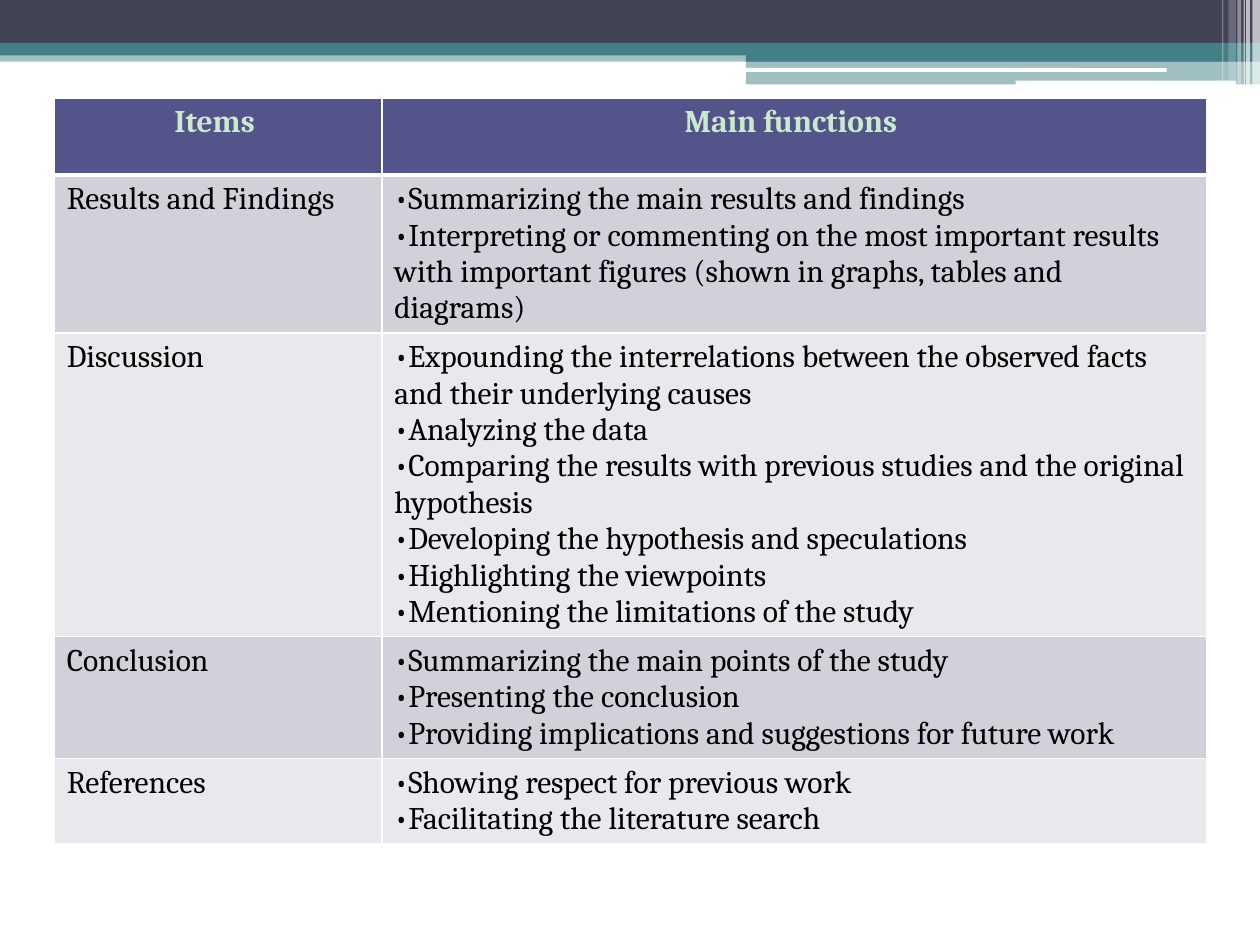
from lxml import etree
from pptx import Presentation
from pptx import util as u
from pptx.dml.color import RGBColor
from pptx.enum import shapes, text
from pptx.oxml import ns

WHITE = RGBColor(0xFF, 0xFF, 0xFF)
BLACK = RGBColor(0, 0, 0)
SLATE = RGBColor(0x42, 0x44, 0x56)
TEAL = RGBColor(0x43, 0x80, 0x86)
MINT = RGBColor(0xCA, 0xEA, 0xCE)
INDIGO = RGBColor(0x53, 0x54, 0x8A)
BAND_DARK = RGBColor(0xD1, 0xD1, 0xDA)
BAND_LIGHT = RGBColor(0xE9, 0xE9, 0xED)

HEADERS = ["Items ", "Main functions "]
SECTIONS = [
    ("Results and Findings", [
        "Summarizing the main results and findings",
        "Interpreting or commenting on the most important results with "
        "important figures (shown in graphs, tables and diagrams)",
    ]),
    ("Discussion", [
        "Expounding the interrelations between the observed facts and their underlying causes",
        "Analyzing the data",
        "Comparing the results with previous studies and the original hypothesis",
        "Developing the hypothesis and speculations",
        "Highlighting the viewpoints",
        "Mentioning the limitations of the study",
    ]),
    ("Conclusion", [
        "Summarizing the main points of the study",
        "Presenting the conclusion",
        "Providing implications and suggestions for future work",
    ]),
    ("References", [
        "Showing respect for previous work",
        "Facilitating the literature search",
    ]),
]

# left, top, width, height, colour, opacity in percent
HEADER_BANDS = [
    (0, 0.4, 10, 0.09, TEAL, 50),
    (0, 0, 10, 0.34, SLATE, 100),
    (0, 0.34, 10, 0.1, TEAL, 100),
    (5.92, 0.39, 4.08, 0.1, TEAL, 100),
    (5.92, 0.48, 4.08, 0.19, TEAL, 50),
]
WHITE_BARS = [(5.91, 0.54, 3.35, 0.03), (8.06, 0.64, 1.75, 0.04)]
# left, width, height, opacity in percent
STRIPES = [
    (9.94, 0.06, 0.68, 65),
    (9.89, 0.03, 0.68, 65),
    (9.87, 0.01, 0.68, 60),
    (9.82, 0.03, 0.68, 40),
    (9.75, 0.06, 0.64, 20),
    (9.7, 0.01, 0.64, 30),
]


class SlideBuilder:
    font_name = "Cambria"
    font_size = u.Pt(18)

    def __init__(self, slide):
        self.slide = slide
        slide.background.fill.solid()
        slide.background.fill.fore_color.rgb = WHITE

    def bar(self, left, top, width, height, color, opacity=100, rounded=False):
        kind = shapes.MSO_SHAPE.ROUNDED_RECTANGLE if rounded else shapes.MSO_SHAPE.RECTANGLE
        shape = self.slide.shapes.add_shape(kind, *map(u.Inches, (left, top, width, height)))
        shape.shadow.inherit = False
        shape.line.fill.background()
        shape.fill.solid()
        shape.fill.fore_color.rgb = color
        if opacity < 100:
            color_element = shape.fill._xPr.find(".//" + ns.qn("a:srgbClr"))
            etree.SubElement(color_element, ns.qn("a:alpha"), val=str(opacity * 1000))

    def table(self, left, top, column_widths, row_height, row_count):
        frame = self.slide.shapes.add_table(
            row_count, len(column_widths), u.Inches(left), u.Inches(top),
            u.Inches(sum(column_widths)), u.Inches(row_height * row_count))
        for column, width in zip(frame.table.columns, column_widths):
            column.width = u.Inches(width)
        return frame.table

    def cell(self, cell, lines, fill, color=BLACK, header=False, bulleted=False):
        cell.fill.solid()
        cell.fill.fore_color.rgb = fill
        self.borders(cell, bottom=3 if header else 1)
        cell.text = "\n".join(lines)
        for paragraph in cell.text_frame.paragraphs:
            if bulleted:
                self.bullet(paragraph)
            paragraph.alignment = text.PP_ALIGN.CENTER if header else text.PP_ALIGN.LEFT
            font = paragraph.font
            font.name, font.size, font.bold = self.font_name, self.font_size, header
            font.color.rgb = color

    def bullet(self, paragraph):
        properties = paragraph._p.get_or_add_pPr()
        properties.set("marL", "0")
        properties.set("indent", "0")
        etree.SubElement(properties, ns.qn("a:buFont"), typeface=self.font_name)
        etree.SubElement(properties, ns.qn("a:buChar"), char="•")

    def borders(self, cell, bottom):
        properties = cell._tc.get_or_add_tcPr()
        widths = {"lnL": 1, "lnR": 1, "lnT": 1, "lnB": bottom}
        for position, (side, width) in enumerate(widths.items()):
            line = etree.Element(ns.qn("a:" + side), w=str(u.Pt(width)))
            fill = etree.SubElement(line, ns.qn("a:solidFill"))
            etree.SubElement(fill, ns.qn("a:srgbClr"), val=str(WHITE))
            properties.insert(position, line)


def main():
    presentation = Presentation()
    presentation.slide_width = u.Inches(10)
    presentation.slide_height = u.Inches(7.5)
    builder = SlideBuilder(presentation.slides.add_slide(presentation.slide_layouts[6]))

    for band in HEADER_BANDS:
        builder.bar(*band)
    for bar in WHITE_BARS:
        builder.bar(*bar, WHITE, rounded=True)
    for left, width, height, opacity in STRIPES:
        builder.bar(left, 0, width, height, WHITE, opacity)

    table = builder.table(0.43, 0.78, [2.6, 6.55], 0.61, len(SECTIONS) + 1)
    for column, header in enumerate(HEADERS):
        builder.cell(table.cell(0, column), [header], INDIGO, MINT, header=True)
    for row, (item, functions) in enumerate(SECTIONS, start=1):
        fill = BAND_DARK if row % 2 else BAND_LIGHT
        builder.cell(table.cell(row, 0), [item], fill)
        builder.cell(table.cell(row, 1), functions, fill, bulleted=True)

    presentation.save("out.pptx")


if __name__ == "__main__":
    main()
